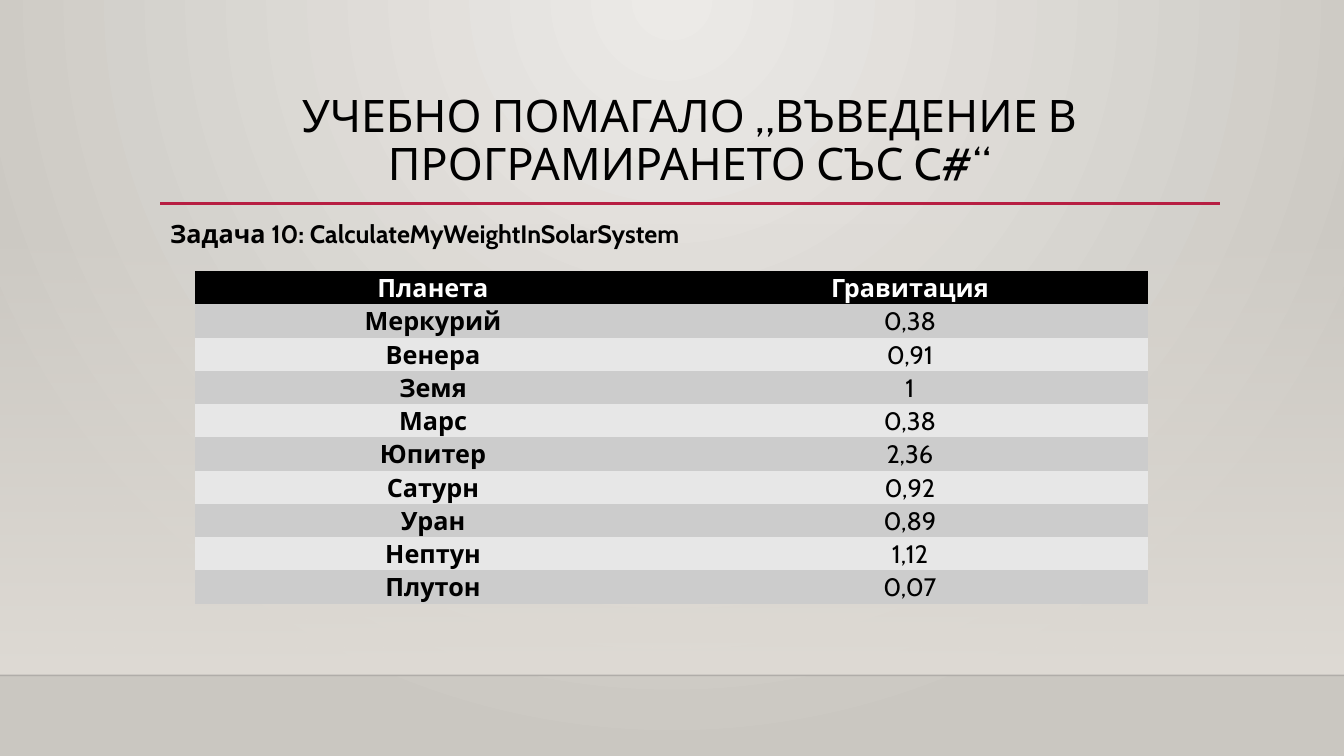
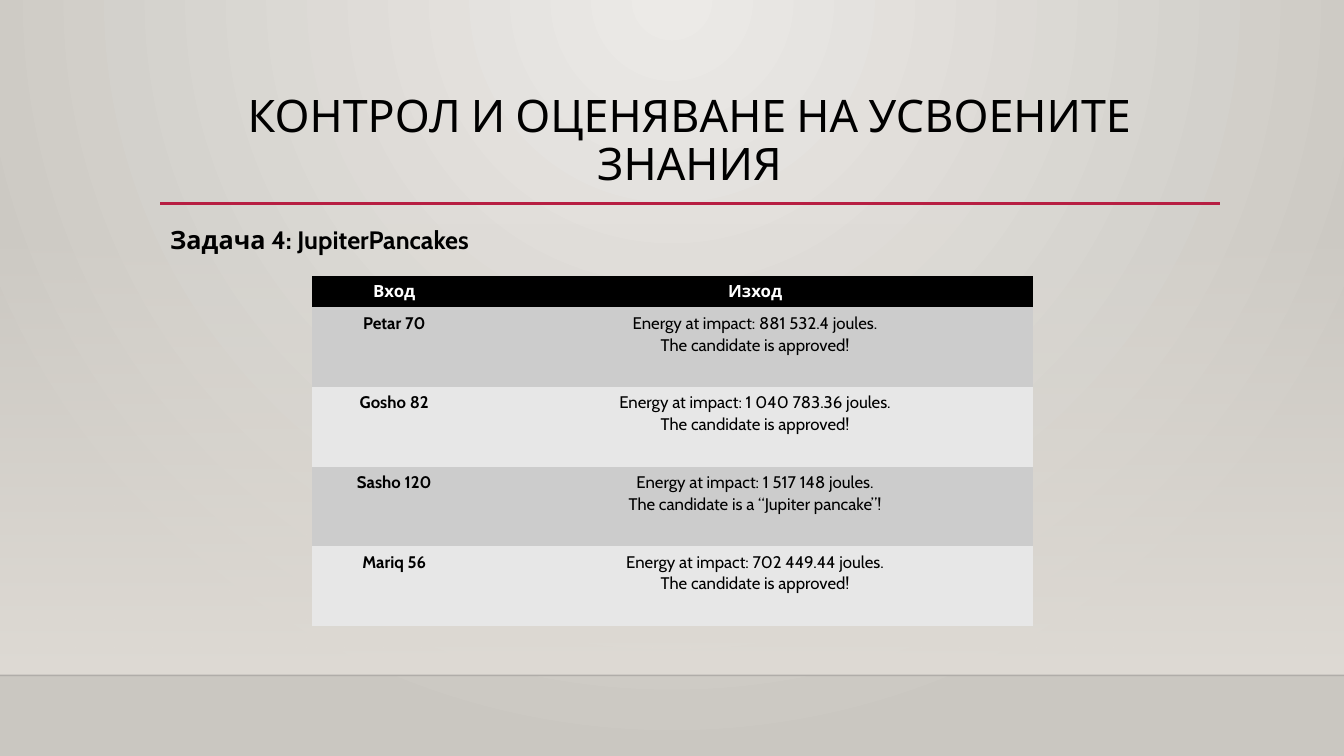
from dataclasses import dataclass

from pptx import Presentation
from pptx.dml.color import RGBColor
from pptx.enum.shapes import MSO_CONNECTOR as Connector, MSO_SHAPE as Preset
from pptx.enum.text import MSO_ANCHOR as Anchor, PP_ALIGN as Align
from pptx.oxml.ns import qn
from pptx.oxml.xmlchemy import OxmlElement
from pptx.util import Inches, Pt


# Content
LESSONS = [
    {
        "title": "УЧЕБНО ПОМАГАЛО „ВЪВЕДЕНИЕ В ПРОГРАМИРАНЕТО СЪС C#“",
        "task": "Задача 10: CalculateMyWeightInSolarSystem",
        "task_top": 2.12,
        "header": ("Планета", "Гравитация"),
        "rows": [
            ("Меркурий", "0,38"),
            ("Венера", "0,91"),
            ("Земя", "1"),
            ("Марс", "0,38"),
            ("Юпитер", "2,36"),
            ("Сатурн", "0,92"),
            ("Уран", "0,89"),
            ("Нептун", "1,12"),
            ("Плутон", "0,07"),
        ],
        "origin": (1.93, 2.69),
        "columns": (4.73, 4.73),
        "heights": (0.33, 0.33),  # header, body row
        "insets": (0.07, 0, 0.07, 0),
        "size": 18,
    },
    {
        "title": "КОНТРОЛ И ОЦЕНЯВАНЕ НА УСВОЕНИТЕ ЗНАНИЯ",
        "task": "Задача 4: JupiterPancakes",
        "task_top": 2.18,
        "header": ("Вход", "Изход"),
        "rows": [
            ("Petar 70", "Energy at impact: 881 532.4 joules.\nThe candidate is approved!"),
            ("Gosho 82", "Energy at impact: 1 040 783.36 joules.\nThe candidate is approved!"),
            ("Sasho 120", "Energy at impact: 1 517 148 joules.\nThe candidate is a “Jupiter pancake”!"),
            ("Mariq 56", "Energy at impact: 702 449.44 joules.\nThe candidate is approved!"),
        ],
        "origin": (3.09, 2.74),
        "columns": (1.65, 5.51),
        "heights": (0.31, 0.79),
        "insets": (0.05, 0.04, 0.06, 0.04),
        "size": 12,
    },
]


# Theme
@dataclass(frozen=True)
class Theme:
    font: str = "Cabin"
    text: str = "000000"
    header_text: str = "FFFFFF"
    header_fill: str = "000000"
    bands: tuple = ("CCCCCC", "E7E7E7")
    backdrop: tuple = ("ECEAE7", "CAC7C1")
    wall: str = "DFDBD5"
    floor_line: str = "000001"
    accent: str = "B71E42"
    title_size: int = 32
    task_size: int = 18
    plain_table: str = "{2D5ABB26-0587-4C30-8999-92F81FD0307C}"


THEME = Theme()
WIDTH, HEIGHT = 13.33, 7.5
MARGIN = 1.59
FLOOR = 6.7


def rgb(code):
    return RGBColor.from_string(code)


def add_run(paragraph, text, size, color=THEME.text, bold=False):
    run = paragraph.add_run()
    run.text = text
    font = run.font
    font.name, font.size, font.bold = THEME.font, Pt(size), bold
    font.color.rgb = rgb(color)


def set_alpha(color_element, percent):
    alpha = OxmlElement("a:alpha")
    alpha.set("val", str(percent * 1000))
    color_element.append(alpha)


def set_gradient(fill, colors):
    fill.gradient()
    for stop, color, position in zip(fill.gradient_stops, colors, (0, 1)):
        stop.color.rgb = rgb(color)
        stop.position = position


# Shared look
def paint_backdrop(master):
    set_gradient(master.background.fill, THEME.backdrop)
    gradient = master.element.find(".//" + qn("a:gradFill"))
    gradient.remove(gradient.find(qn("a:lin")))
    glow = OxmlElement("a:path")
    glow.set("path", "circle")
    focus = OxmlElement("a:fillToRect")
    for side, value in (("l", 43000), ("t", 0), ("r", 43000), ("b", 100000)):
        focus.set(side, str(value))
    glow.append(focus)
    gradient.append(glow)


def add_rule(slide, left, right, y, color, weight):
    rule = slide.shapes.add_connector(
        Connector.STRAIGHT, Inches(left), Inches(y), Inches(right), Inches(y))
    rule.line.color.rgb = rgb(color)
    rule.line.width = Pt(weight)
    rule.element.spPr.append(OxmlElement("a:effectLst"))
    return rule


def decorate_master(master, slide):
    """Draw the wall and rules on a slide, then move them behind the master's parts."""
    wall_top = 2.21
    wall = slide.shapes.add_shape(
        Preset.RECTANGLE, 0, Inches(wall_top), Inches(WIDTH), Inches(FLOOR - wall_top))
    wall.shadow.inherit = False
    wall.line.fill.background()
    set_gradient(wall.fill, (THEME.wall, THEME.wall))
    wall.fill.gradient_angle = 270
    set_alpha(wall.element.find(".//" + qn("a:srgbClr")), 0)

    floor_rule = add_rule(slide, 0, WIDTH, FLOOR, THEME.floor_line, 1)
    set_alpha(floor_rule.element.find(".//" + qn("a:srgbClr")), 20)
    title_rule = add_rule(slide, MARGIN, 12.1, 2.02, THEME.accent, 2.5)

    tree = master.shapes.element
    for index, part in enumerate((wall, floor_rule, title_rule)):
        part.element.find(".//" + qn("p:cNvPr")).set("id", str(100 + index))
        tree.insert(2 + index, part.element)


def place_title(layout):
    title = layout.placeholders[0]
    title.left, title.top = Inches(MARGIN), Inches(0.88)
    title.width, title.height = Inches(10.5), Inches(1.15)
    title.text_frame.vertical_anchor = Anchor.TOP


# Slide parts
def add_title(slide, text):
    paragraph = slide.shapes.title.text_frame.paragraphs[0]
    paragraph.alignment, paragraph.line_spacing = Align.CENTER, 0.9
    add_run(paragraph, text, THEME.title_size)


def add_task(slide, text, top):
    task = slide.shapes.add_textbox(Inches(MARGIN), Inches(top), Inches(9.9), Inches(0.71))
    task.text_frame.word_wrap = True
    add_run(task.text_frame.paragraphs[0], text, THEME.task_size, bold=True)


def fill_cell(cell, text, lesson, fill, color, bold):
    cell.fill.solid()
    cell.fill.fore_color.rgb = rgb(fill)
    (cell.margin_left, cell.margin_top,
     cell.margin_right, cell.margin_bottom) = map(Inches, lesson["insets"])
    frame = cell.text_frame
    for index, line in enumerate(text.split("\n")):
        paragraph = frame.add_paragraph() if index else frame.paragraphs[0]
        paragraph.alignment, paragraph.line_spacing = Align.CENTER, 1.07
        add_run(paragraph, line, lesson["size"], color, bold)


def add_data_table(slide, lesson):
    records = [lesson["header"], *lesson["rows"]]
    header_height, row_height = lesson["heights"]
    left, top = lesson["origin"]
    columns = lesson["columns"]
    height = header_height + row_height * len(lesson["rows"])
    frame = slide.shapes.add_table(
        len(records), len(columns), Inches(left), Inches(top),
        Inches(sum(columns)), Inches(height))
    table = frame.table
    frame.element.find(".//" + qn("a:tableStyleId")).text = THEME.plain_table
    for column, width in zip(table.columns, columns):
        column.width = Inches(width)
    for r, record in enumerate(records):
        is_header = r == 0
        table.rows[r].height = Inches(header_height if is_header else row_height)
        fill = THEME.header_fill if is_header else THEME.bands[(r - 1) % 2]
        color = THEME.header_text if is_header else THEME.text
        for c, text in enumerate(record):
            fill_cell(table.cell(r, c), text, lesson, fill, color, is_header or c == 0)


def main():
    deck = Presentation()
    deck.slide_width, deck.slide_height = Inches(WIDTH), Inches(HEIGHT)
    layout = deck.slide_layouts.get_by_name("Title Only")
    paint_backdrop(deck.slide_master)
    place_title(layout)
    slides = [deck.slides.add_slide(layout) for _ in LESSONS]
    decorate_master(deck.slide_master, slides[0])
    for slide, lesson in zip(slides, LESSONS):
        add_title(slide, lesson["title"])
        add_data_table(slide, lesson)
        add_task(slide, lesson["task"], lesson["task_top"])
    deck.save("out.pptx")


if __name__ == "__main__":
    main()
